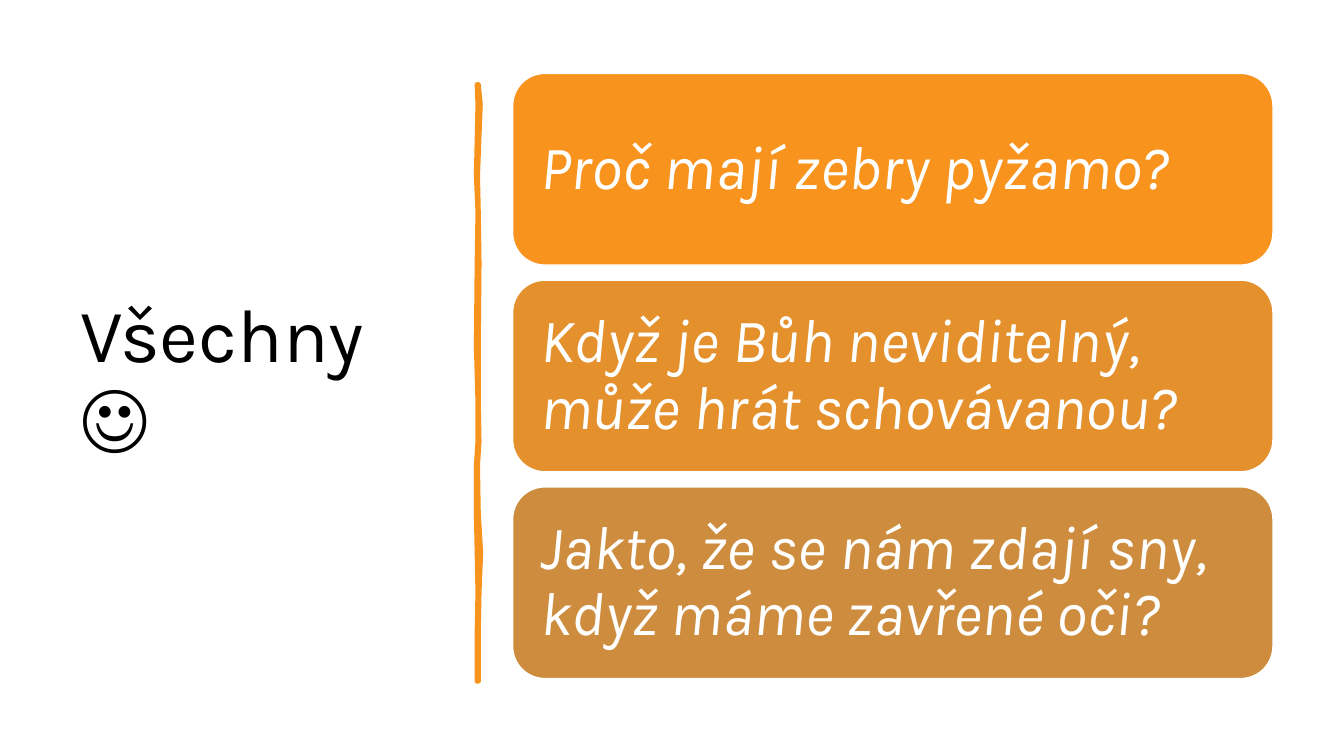
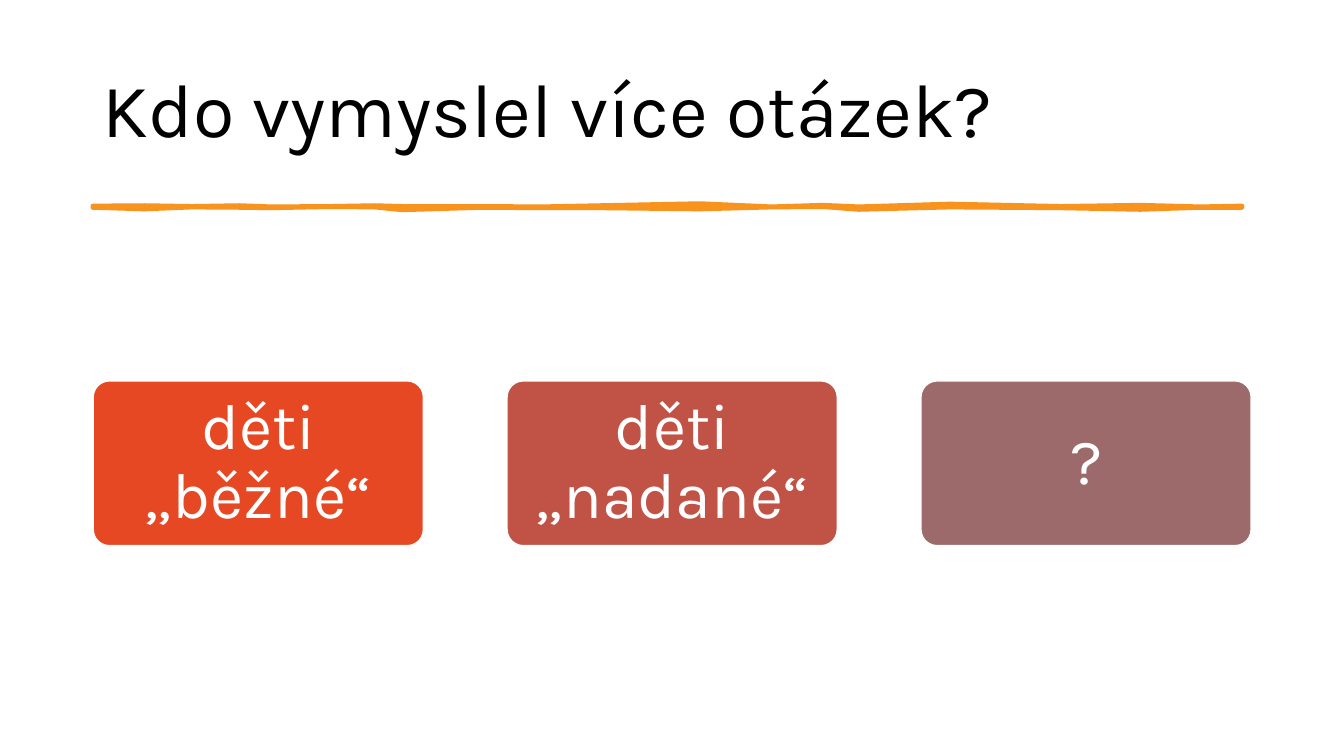
from pptx import Presentation
from pptx.dml.color import RGBColor
from pptx.enum.shapes import MSO_SHAPE
from pptx.enum.text import MSO_ANCHOR, MSO_AUTO_SIZE, PP_ALIGN
from pptx.util import Cm, Pt

FONT = "Karla"
BLACK = RGBColor(0x00, 0x00, 0x00)
WHITE = RGBColor(0xFF, 0xFF, 0xFF)
ORANGE = RGBColor(0xF8, 0x93, 0x1D)
AMBER = RGBColor(0xE3, 0x90, 0x2D)
OCHRE = RGBColor(0xCE, 0x8D, 0x3E)
RED = RGBColor(0xE6, 0x48, 0x23)
BRICK = RGBColor(0xC1, 0x52, 0x46)
MAUVE = RGBColor(0x9C, 0x6A, 0x6A)

TALL = [
    (0, -0.02, 0.02), (0.5, 0, 0.07), (2.3, -0.04, 0), (3.2, 0, 0.02),
    (4.5, -0.02, 0.04), (6.6, -0.04, 0.02), (8, 0, 0.02), (9, 0, 0.04),
    (9.6, -0.04, 0), (10.8, -0.04, 0.02), (11.8, -0.02, 0.08),
    (12.8, 0, 0.04), (13.8, -0.02, 0.02), (15.04, -0.02, 0.02),
]
WIDE = [
    (0, -0.02, 0.02), (1.3, -0.03, 0.06), (2.5, -0.01, 0.01),
    (3.7, -0.03, 0.02), (4.5, 0, 0.03), (6, -0.01, 0), (7.1, -0.03, 0.01),
    (7.8, -0.01, 0.08), (9.8, -0.01, 0.02), (11.3, 0, 0.03),
    (12.8, -0.03, 0.03), (15.3, -0.08, 0.06), (17.1, 0, 0.01),
    (18.4, -0.04, 0), (19.3, 0, 0.07), (21.6, -0.07, 0.01),
    (24.4, -0.01, 0.03), (26.4, -0.04, 0.07), (27.9, 0, 0.02),
    (28.96, -0.02, 0.02),
]


def write(frame, text, size, color=WHITE, align=PP_ALIGN.LEFT,
          italic=False, inset=(0.25, 0.13)):
    """Put formatted text into a frame, centred on its height."""
    frame.text = text
    frame.word_wrap = True
    frame.auto_size = MSO_AUTO_SIZE.NONE
    frame.vertical_anchor = MSO_ANCHOR.MIDDLE
    frame.margin_left = frame.margin_right = Cm(inset[0])
    frame.margin_top = frame.margin_bottom = Cm(inset[1])
    for para in frame.paragraphs:
        para.alignment = align
        para.line_spacing = 0.9
        font = para.font
        font.name, font.size, font.italic = FONT, Pt(size), italic
        font.color.rgb = color


def paint(shape, fill, line, width):
    """Fill and outline a shape without a shadow."""
    shape.shadow.inherit = False
    shape.fill.solid()
    shape.fill.fore_color.rgb = fill
    shape.line.color.rgb = line
    shape.line.width = Pt(width)


def start(deck, text, left, top, width, height):
    """Add a slide with its title in place."""
    slide = deck.slides.add_slide(deck.slide_layouts[5])
    title = slide.shapes.title
    title.left, title.top = Cm(left), Cm(top)
    title.width, title.height = Cm(width), Cm(height)
    write(title.text_frame, text, 54, color=BLACK)
    return slide


def card(slide, text, left, top, width, height, fill, curve=0.17, **style):
    """Add a rounded card with text."""
    shape = slide.shapes.add_shape(
        MSO_SHAPE.ROUNDED_RECTANGLE,
        Cm(left), Cm(top), Cm(width), Cm(height))
    shape.adjustments[0] = curve
    paint(shape, fill, WHITE, 1.5)
    write(shape.text_frame, text, **style)


def brush(slide, left, top, rows, tall=False):
    """Draw an uneven brush stroke from its two edges."""
    near = [(pos, edge) for pos, edge, _ in rows]
    far = [(pos, edge) for pos, _, edge in rows]
    dots = near + far[::-1]
    if tall:
        dots = [(side, pos) for pos, side in dots]
    ring = [(Cm(left + x), Cm(top + y)) for x, y in dots]
    form = slide.shapes.build_freeform(*ring[0])
    form.add_line_segments(ring[1:], close=True)
    paint(form.convert_to_shape(), ORANGE, ORANGE, 3.25)


def jokes(deck):
    """Build the slide of funny questions."""
    slide = start(deck, "Všechny ☺", 1.77, 1.78, 9.5, 15.52)
    brush(slide, 12.04, 2.13, TALL, tall=True)
    cards = [
        ("Proč mají zebry pyžamo?", ORANGE),
        ("Když je Bůh neviditelný,\vmůže hrát schovávanou?", AMBER),
        ("Jakto, že se nám zdají sny, když máme zavřené oči?", OCHRE),
    ]
    for row, (text, fill) in enumerate(cards):
        card(slide, text, 12.91, 1.84 + row * 5.21, 19.18, 4.85, fill,
             size=44, italic=True, inset=(0.46, 0.46))


def groups(deck):
    """Build the slide that compares the children."""
    slide = start(deck, "Kdo vymyslel více otázek?", 2.34, 1.02, 29.21, 3.68)
    brush(slide, 2.34, 5.21, WIDE)
    cards = [("děti „běžné“", RED), ("děti „nadané“", BRICK), ("?", MAUVE)]
    for col, (text, fill) in enumerate(cards):
        card(slide, text, 2.34 + col * 10.43, 9.59, 8.34, 4.17, fill,
             curve=0.1, size=46, align=PP_ALIGN.CENTER, inset=(0.25, 0.15))


def main():
    """Build and save the slides."""
    deck = Presentation()
    deck.slide_width, deck.slide_height = Cm(33.87), Cm(19.05)
    jokes(deck)
    groups(deck)
    deck.save("out.pptx")


if __name__ == "__main__":
    main()
